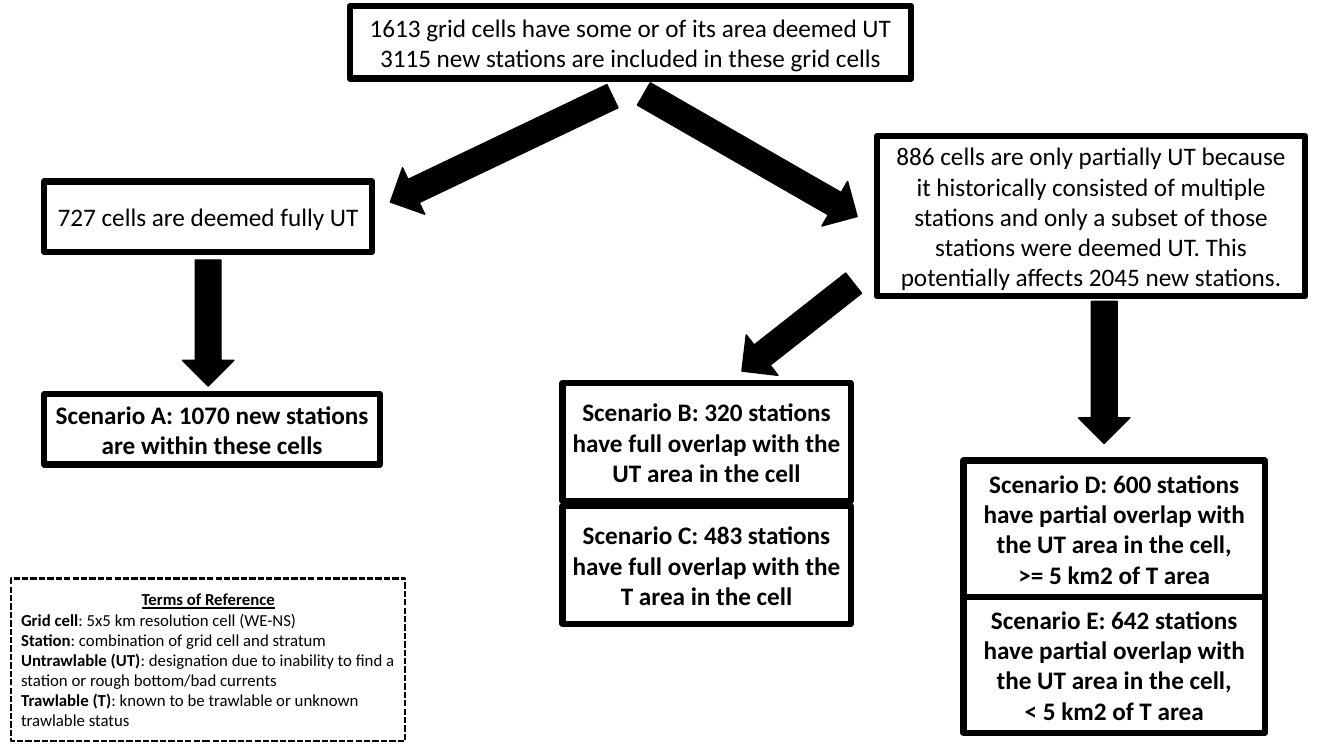
import pptx
import pptx.dml.color
import pptx.enum.dml
import pptx.enum.shapes
import pptx.enum.text
import pptx.util

COLOURS = {"ink": "000000", "paper": "FFFFFF"}
FONT = "Calibri"
SLIDE_WIDTH = pptx.util.Inches(13.33)
SLIDE_HEIGHT = pptx.util.Inches(7.5)
ARROW_WIDTH = 6.8  # percent of the slide height
SHAPES = pptx.enum.shapes.MSO_SHAPE
ALIGN = pptx.enum.text.PP_ALIGN

# Boxes are left, top, width, height in percent of the slide's size.
ALL_CELLS_BOX = (26.03, 0.8, 41.78, 9.6)
FULLY_UT_BOX = (3.3, 24, 24.38, 9.33)
PARTIALLY_UT_BOX = (65.25, 18, 31.88, 21.2)
SCENARIO_A_BOX = (3.3, 52.13, 24.98, 9.33)
FULL_OVERLAP_BOX = (41.85, 50.67, 21.45, 31.87)
PARTIAL_OVERLAP_BOX = (71.7, 60.93, 22.43, 36)
TERMS_BOX = (0.83, 76.53, 29.33, 21.47)

# Centre x, centre y, length (percent of the height), rotation in degrees
ARROWS = [
    (37.31, 19.73, 32.53, 64.5),
    (55.84, 20.53, 32.53, 299.9),
    (15.49, 42.73, 16.67, 0),
    (59.36, 43.27, 18.8, 51.8),
    (82.16, 49.27, 18.8, 0),
]

TERMS = [
    ("Grid cell", "5x5 km resolution cell (WE-NS)"),
    ("Station", "combination of grid cell and stratum"),
    ("Untrawlable (UT)", "designation due to inability to find a station "
                         "or rough bottom/bad currents"),
    ("Trawlable (T)", "known to be trawlable or unknown trawlable status"),
]


def across(percent):
    return round(SLIDE_WIDTH * percent / 100)


def down(percent):
    return round(SLIDE_HEIGHT * percent / 100)


def colour(name):
    return pptx.dml.color.RGBColor.from_string(COLOURS[name])


def add_filled(page, kind, bounds, fill, line_width):
    shape = page.shapes.add_shape(kind, *bounds)
    shape.shadow.inherit = False
    shape.fill.solid()
    shape.fill.fore_color.rgb = colour(fill)
    shape.line.color.rgb = colour("ink")
    shape.line.width = pptx.util.Pt(line_width)
    return shape


def add_frame(page, box, line_width):
    left, top, width, height = box
    bounds = (across(left), down(top), across(width), down(height))
    frame = add_filled(page, SHAPES.RECTANGLE, bounds, "paper", line_width)
    frame.text_frame.word_wrap = True
    frame.text_frame.vertical_anchor = pptx.enum.text.MSO_ANCHOR.MIDDLE
    return frame


def style(para, size, align, bold=False):
    para.alignment = align
    para.font.name = FONT
    para.font.size = pptx.util.Pt(size)
    para.font.bold = bold
    para.font.color.rgb = colour("ink")


def add_step(page, box, text, bold=False):
    frame = add_frame(page, box, 4.5)
    frame.text_frame.text = text
    for para in frame.text_frame.paragraphs:
        style(para, 18, ALIGN.CENTER, bold)


def add_scenarios(page, box, texts, gap=0):
    """Stack equally tall scenario boxes inside box."""
    left, top, width, height = box
    step = (height + gap) / len(texts)
    for row, text in enumerate(texts):
        add_step(page, (left, top + row * step, width, step - gap), text, bold=True)


def add_terms(page, box):
    frame = add_frame(page, box, 1.5)
    frame.line.dash_style = pptx.enum.dml.MSO_LINE.SQUARE_DOT
    heading = frame.text_frame.paragraphs[0]
    heading.text = "Terms of Reference"
    style(heading, 12, ALIGN.CENTER, bold=True)
    heading.font.underline = True
    for term, meaning in TERMS:
        para = frame.text_frame.add_paragraph()
        style(para, 12, ALIGN.LEFT)
        span = para.add_run()
        span.text = term
        span.font.bold = True
        para.add_run().text = f": {meaning}"


def add_arrow(page, centre_x, centre_y, length, rotation):
    width, height = down(ARROW_WIDTH), down(length)
    bounds = (across(centre_x) - width // 2, down(centre_y) - height // 2, width, height)
    arrow = add_filled(page, SHAPES.DOWN_ARROW, bounds, "ink", 1)
    arrow.rotation = rotation


def add_flowchart(page):
    add_step(page, ALL_CELLS_BOX,
             "1613 grid cells have some or of its area deemed UT\n"
             "3115 new stations are included in these grid cells")
    add_terms(page, TERMS_BOX)
    add_step(page, FULLY_UT_BOX, "727 cells are deemed fully UT")
    add_scenarios(page, SCENARIO_A_BOX, [
        "Scenario A: 1070 new stations are within these cells"])
    add_step(page, PARTIALLY_UT_BOX,
             "886 cells are only partially UT because it historically consisted of "
             "multiple stations and only a subset of those stations were deemed UT. "
             "This potentially affects 2045 new stations.")
    add_scenarios(page, FULL_OVERLAP_BOX, [
        "Scenario B: 320 stations have full overlap with the UT area in the cell",
        "Scenario C: 483 stations have full overlap with the T area in the cell",
    ], gap=0.67)
    add_scenarios(page, PARTIAL_OVERLAP_BOX, [
        "Scenario D: 600 stations have partial overlap with "
        "the UT area in the cell,\v>= 5 km2 of T area",
        "Scenario E: 642 stations have partial overlap with "
        "the UT area in the cell,\v< 5 km2 of T area",
    ])
    for arrow in ARROWS:
        add_arrow(page, *arrow)


def main():
    deck = pptx.Presentation()
    deck.slide_width, deck.slide_height = SLIDE_WIDTH, SLIDE_HEIGHT
    blank_layout = deck.slide_layouts[6]
    add_flowchart(deck.slides.add_slide(blank_layout))
    deck.save("out.pptx")


if __name__ == "__main__":
    main()
